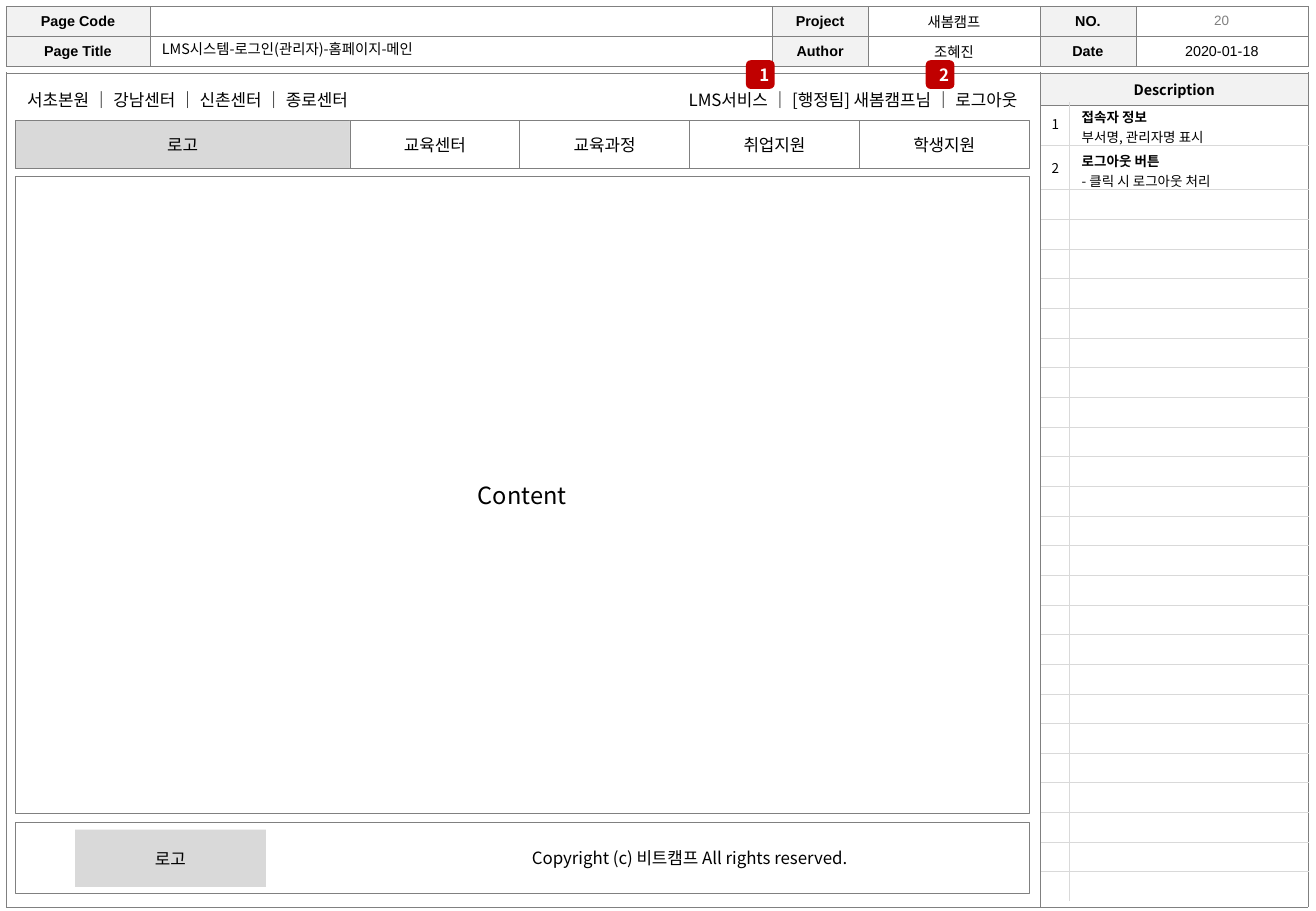
from lxml import etree
from pptx import Presentation
from pptx.dml.color import RGBColor
from pptx.enum.shapes import MSO_SHAPE
from pptx.enum.text import MSO_ANCHOR, MSO_AUTO_SIZE, PP_ALIGN
from pptx.oxml.ns import qn
from pptx.util import Cm, Pt

RECT, ROUND = MSO_SHAPE.RECTANGLE, MSO_SHAPE.ROUNDED_RECTANGLE
LEFT, CENTER, RIGHT = PP_ALIGN.LEFT, PP_ALIGN.CENTER, PP_ALIGN.RIGHT
TOP, MIDDLE = MSO_ANCHOR.TOP, MSO_ANCHOR.MIDDLE
COLORS = {
    "text": "000000", "page": "7F7F7F", "line": "808080", "rule": "D9D9D9",
    "head": "F2F2F2", "logo": "D9D9D9", "white": "FFFFFF", "mark": "C00000",
}
SANS, ARIAL = "Noto Sans CJK KR", "Arial"


def rgb(name):
    return RGBColor.from_string(COLORS[name])


def write(frame, lines, size, align=CENTER, color="text", font=SANS):
    """Fill a text frame with (text, bold) lines."""
    for i, (text, bold) in enumerate(lines):
        para = frame.add_paragraph() if i else frame.paragraphs[0]
        para.alignment = align
        run = para.add_run()
        run.text = text
        run.font.size, run.font.bold, run.font.name = Pt(size), bold, font
        run.font.color.rgb = rgb(color)
        east = etree.SubElement(run.font._element, qn("a:ea"))
        east.set("typeface", SANS)


def add_label(slide, box, text, size, align=CENTER, anchor=MIDDLE,
              color="text", font=SANS):
    frame = slide.shapes.add_textbox(*map(Cm, box)).text_frame
    frame.word_wrap = True
    frame.vertical_anchor = anchor
    write(frame, [(text, False)], size, align, color, font)


def add_block(shapes, box, fill, text="", size=10, kind=RECT, line="line",
              color="text", bold=False):
    block = shapes.add_shape(kind, *map(Cm, box))
    block.shadow.inherit = False
    block.fill.solid()
    block.fill.fore_color.rgb = rgb(fill)
    if line:
        block.line.color.rgb = rgb(line)
        block.line.width = Pt(0.5)
    else:
        block.line.fill.background()
    block.text_frame.vertical_anchor = MIDDLE
    if text:
        write(block.text_frame, [(text, bold)], size, color=color)


def add_grid(slide, left, top, cols, rows, line, width, outer=True, hide=()):
    """Add an empty table; hide lists (row, column, side) edges left undrawn."""
    table = slide.shapes.add_table(
        len(rows), len(cols), Cm(left), Cm(top), Cm(sum(cols)), Cm(sum(rows))).table
    table.first_row = table.horz_banding = False
    for col, size in zip(table.columns, cols):
        col.width = Cm(size)
    for r, high in enumerate(rows):
        table.rows[r].height = Cm(high)
        for c in range(len(cols)):
            cell = table.cell(r, c)
            cell.margin_left = cell.margin_right = Cm(0.1)
            cell.margin_top = cell.margin_bottom = Cm(0)
            cell.vertical_anchor = MIDDLE
            end = etree.SubElement(cell.text_frame.paragraphs[0]._p, qn("a:endParaRPr"))
            end.set("sz", "800")
            inner = {"L": c > 0, "R": c < len(cols) - 1,
                     "T": r > 0, "B": r < len(rows) - 1}
            for side, shown in inner.items():
                edge = etree.SubElement(cell._tc.get_or_add_tcPr(), qn(f"a:ln{side}"))
                edge.set("w", str(Pt(width)))
                if (outer or shown) and (r, c, side) not in hide:
                    fill = etree.SubElement(edge, qn("a:solidFill"))
                    etree.SubElement(fill, qn("a:srgbClr")).set("val", COLORS[line])
                else:
                    etree.SubElement(edge, qn("a:noFill"))
            cell.fill.background()
    return table


def shade(cell):
    cell.fill.solid()
    cell.fill.fore_color.rgb = rgb("head")


def add_frame(slide, left, top):
    grid = add_grid(slide, left, top, [21.63, 5.59], [0.68, 16.77], "line", 0.25,
                    hide=[(0, 0, "B"), (1, 0, "T")])
    head = grid.cell(0, 1)
    shade(head)
    write(head.text_frame, [("Description", True)], 8.5)


def add_header(slide, left, top):
    cols = [3, 13.02, 2, 3.6, 2, 3.6]
    grid = add_grid(slide, left, top, cols, [0.63, 0.63], "line", 0.25)
    rows = [["Page Code", "", "Project", "새봄캠프", "NO.", ""],
            ["Page Title", "", "Author", "조혜진", "Date", "2020-01-18"]]
    for r, row in enumerate(rows):
        for c, text in enumerate(row):
            cell = grid.cell(r, c)
            if c % 2 == 0:
                shade(cell)
            if text:
                write(cell.text_frame, [(text, c % 2 == 0)], 8.5, font=ARIAL)
    add_label(slide, (left + sum(cols[:5]), top, cols[5], 0.62), "20", 8,
              anchor=TOP, color="page", font=ARIAL)

    title = slide.shapes.title
    title.left, title.top = Cm(left + cols[0]), Cm(top + 0.58)
    title.width, title.height = Cm(cols[1]), Cm(0.62)
    frame = title.text_frame
    frame.auto_size = MSO_AUTO_SIZE.NONE
    frame.vertical_anchor = TOP
    write(frame, [("LMS시스템-로그인(관리자)-홈페이지-메인", False)], 8.5, LEFT)


def add_menu(slide, left, top, width):
    add_label(slide, (left, top, 9.9, 0.87),
              "서초본원 ｜ 강남센터 ｜ 신촌센터 ｜ 종로센터", 10, LEFT)
    add_label(slide, (left + width - 10.48, top, 10.48, 0.87),
              "LMS서비스 ｜ [행정팀] 새봄캠프님 ｜ 로그아웃", 10, RIGHT)
    for mark, shift in [("1", 15.28), ("2", 19.04)]:
        add_block(slide.shapes, (left + shift, top - 0.39, 0.6, 0.6), "mark", mark,
                  kind=ROUND, line=None, color="white", bold=True)

    shapes = slide.shapes.add_group_shape().shapes
    tabs = ["교육센터", "교육과정", "취업지원", "학생지원"]
    logo, y, high = 7, top + 0.87, 1
    add_block(shapes, (left, y, logo, high), "logo", "로고")
    step = (width - logo) / len(tabs)
    for i, tab in enumerate(tabs):
        add_block(shapes, (left + logo + i * step, y, step, high), "white", tab)


def add_footer(slide, left, top, width):
    add_block(slide.shapes, (left, top, width, 1.49), "white")
    add_block(slide.shapes, (left + 1.25, top + 0.15, 3.99, 1.2), "logo", "로고",
              line=None)
    add_label(slide, (left + 7, top + 0.4, width - 7, 0.69),
              "Copyright (c) 비트캠프 All rights reserved.", 10)


def add_notes(slide, left, top):
    """Add the numbered description list."""
    notes = [("접속자 정보", "부서명, 관리자명 표시"),
             ("로그아웃 버튼", "- 클릭 시 로그아웃 처리")]
    rows = [0.92] * len(notes) + [0.62] * 24
    grid = add_grid(slide, left, top, [0.6, 5], rows, "rule", 0.5, outer=False)
    for i, (head, body) in enumerate(notes):
        num, cell = grid.cell(i, 0), grid.cell(i, 1)
        num.margin_left = num.margin_right = Cm(0)
        write(num.text_frame, [(str(i + 1), False)], 8)
        cell.margin_left, cell.margin_top = Cm(0.25), Cm(0.1)
        write(cell.text_frame, [(head, True), (body, False)], 8, LEFT)


def main():
    deck = Presentation()
    deck.slide_width, deck.slide_height = Cm(27.52), Cm(19.05)
    slide = deck.slides.add_slide(deck.slide_layouts[5])
    left, width = 0.32, 21.2
    add_frame(slide, 0.13, 1.52)
    add_header(slide, 0.13, 0.13)
    add_block(slide.shapes, (left, 3.69, width, 13.33), "white", "Content", 14)
    add_menu(slide, left, 1.65, width)
    add_notes(slide, 21.77, 2.13)
    add_footer(slide, left, 17.2, width)
    deck.save("out.pptx")


if __name__ == "__main__":
    main()
